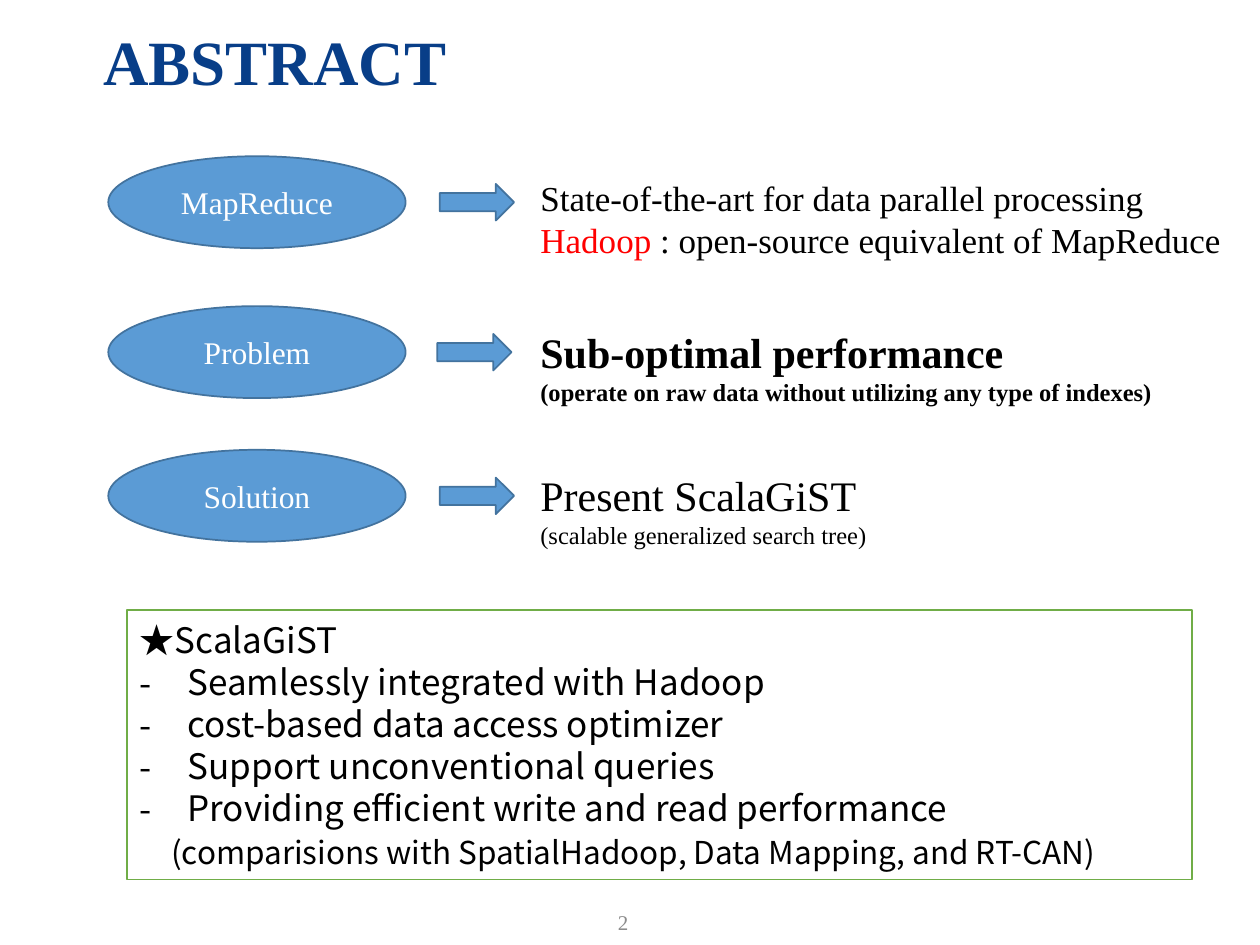
from pptx import Presentation
from pptx.dml.color import RGBColor
from pptx.enum.shapes import MSO_SHAPE
from pptx.enum.text import MSO_ANCHOR, MSO_AUTO_SIZE, PP_ALIGN
from pptx.oxml.ns import qn
from pptx.util import Inches, Pt
from lxml.etree import SubElement

NAVY = RGBColor(0x08, 0x3E, 0x88)
BLUE = RGBColor(0x5B, 0x9B, 0xD5)
BLUE_EDGE = RGBColor(0x43, 0x73, 0x9E)
GREEN = RGBColor(0x70, 0xAD, 0x47)
GRAY = RGBColor(0x8C, 0x8C, 0x8C)
RED = RGBColor(0xFF, 0, 0)
BLACK = RGBColor(0, 0, 0)
WHITE = RGBColor(0xFF, 0xFF, 0xFF)
SERIF = "Times New Roman"
SANS = "Noto Sans CJK KR"
COLS, ROWS = 100, 75


class AbstractSlide:
    def __init__(self, prs):
        self.col = prs.slide_width / COLS
        self.row = prs.slide_height / ROWS
        self.s = prs.slides.add_slide(prs.slide_layouts[5])

    def box(self, x, y, w, h):
        return (round(x * self.col), round(y * self.row),
                round(w * self.col), round(h * self.row))

    def run(self, p, text, size, color=BLACK, bold=False, font=SERIF):
        r = p.add_run()
        r.text = text
        r.font.name = font
        r.font.size = Pt(size)
        r.font.bold = bold
        r.font.color.rgb = color
        if font == SANS:
            SubElement(r.font._element, qn("a:ea"), typeface=font)

    def title(self, text, *at):
        sp = self.s.shapes.title
        sp.left, sp.top, sp.width, sp.height = self.box(*at)
        tf = sp.text_frame
        tf.auto_size = MSO_AUTO_SIZE.NONE
        tf.vertical_anchor = MSO_ANCHOR.MIDDLE
        p = tf.paragraphs[0]
        p.alignment = PP_ALIGN.LEFT
        p.line_spacing = 0.9
        self.run(p, text, 36, NAVY, True)

    def shape(self, kind, *at, fill=None, edge=BLUE_EDGE):
        sp = self.s.shapes.add_shape(kind, *self.box(*at))
        sp.shadow.inherit = False
        if fill is None:
            sp.fill.background()
        else:
            sp.fill.solid()
            sp.fill.fore_color.rgb = fill
        sp.line.color.rgb = edge
        sp.line.width = Pt(1)
        return sp

    def label(self, text, *at):
        sp = self.shape(MSO_SHAPE.OVAL, *at, fill=BLUE)
        tf = sp.text_frame
        tf.vertical_anchor = MSO_ANCHOR.MIDDLE
        p = tf.paragraphs[0]
        p.alignment = PP_ALIGN.CENTER
        self.run(p, text, 18, WHITE)

    def text(self, lines, *at, align=PP_ALIGN.LEFT, anchor=MSO_ANCHOR.TOP):
        tf = self.s.shapes.add_textbox(*self.box(*at)).text_frame
        tf.word_wrap = True
        tf.vertical_anchor = anchor
        for i, runs in enumerate(lines):
            p = tf.add_paragraph() if i else tf.paragraphs[0]
            p.alignment = align
            for args in runs:
                self.run(p, *args)
        return tf

    def indent(self, p, left, bullet=None):
        pPr = p._p.get_or_add_pPr()
        pPr.set("marL", str(Inches(left)))
        if bullet:
            pPr.set("indent", str(-Inches(left)))
            SubElement(pPr, qn("a:buFont"), typeface=SANS)
            SubElement(pPr, qn("a:buChar"), char=bullet)

    def summary(self, heading, points, remark, *at):
        self.shape(MSO_SHAPE.RECTANGLE, *at, edge=GREEN)
        x, y, w, h = at
        sized = [(heading, 20), *((point, 20) for point in points), (remark, 18)]
        lines = [[(text, size, BLACK, False, SANS)] for text, size in sized]
        tf = self.text(lines, x, y + 0.2, w, h)
        for p in tf.paragraphs:
            p.line_spacing = Pt(24)
        for p in tf.paragraphs[1:-1]:
            self.indent(p, 0.38, "-")
        self.indent(tf.paragraphs[-1], 0.25)


def main():
    prs = Presentation()
    prs.slide_width, prs.slide_height = Inches(10), Inches(7.5)
    s = AbstractSlide(prs)
    s.title("ABSTRACT", 7.2, 1, 84.7, 8.3)
    s.text([[("2", 12, GRAY)]], 38.2, 71.8, 22.5, 2.7,
           align=PP_ALIGN.CENTER, anchor=MSO_ANCHOR.MIDDLE)

    topics = [
        ("MapReduce", 12.4, 34.9, 56.5, [
            [("State-of-the-art for data parallel processing", 20)],
            [("Hadoop", 20, RED), (" : open-source equivalent of MapReduce", 20)]]),
        ("Problem", 24.3, 34.7, 55.5, [
            [("Sub-optimal performance", 24, BLACK, True)],
            [("(operate on raw data without utilizing any type of indexes)",
              14, BLACK, True)]]),
        ("Solution", 35.7, 34.9, 55.5, [
            [("Present ScalaGiST", 24)],
            [("(scalable generalized search tree)", 14)]]),
    ]
    for name, top, arrow_left, width, lines in topics:
        s.label(name, 8.6, top, 23.6, 7.3)
        s.shape(MSO_SHAPE.RIGHT_ARROW, arrow_left, top + 2.2, 5.9, 2.9, fill=BLUE)
        s.text(lines, 41.9, top + 1.1, width, 7.5)

    s.summary("★ScalaGiST", [
        "Seamlessly integrated with Hadoop",
        "cost-based data access optimizer",
        "Support unconventional queries",
        "Providing efficient write and read performance",
    ], "(comparisions with SpatialHadoop, Data Mapping, and RT-CAN)",
        10.1, 48.4, 84.5, 21.4)
    prs.save("out.pptx")


if __name__ == "__main__":
    main()
